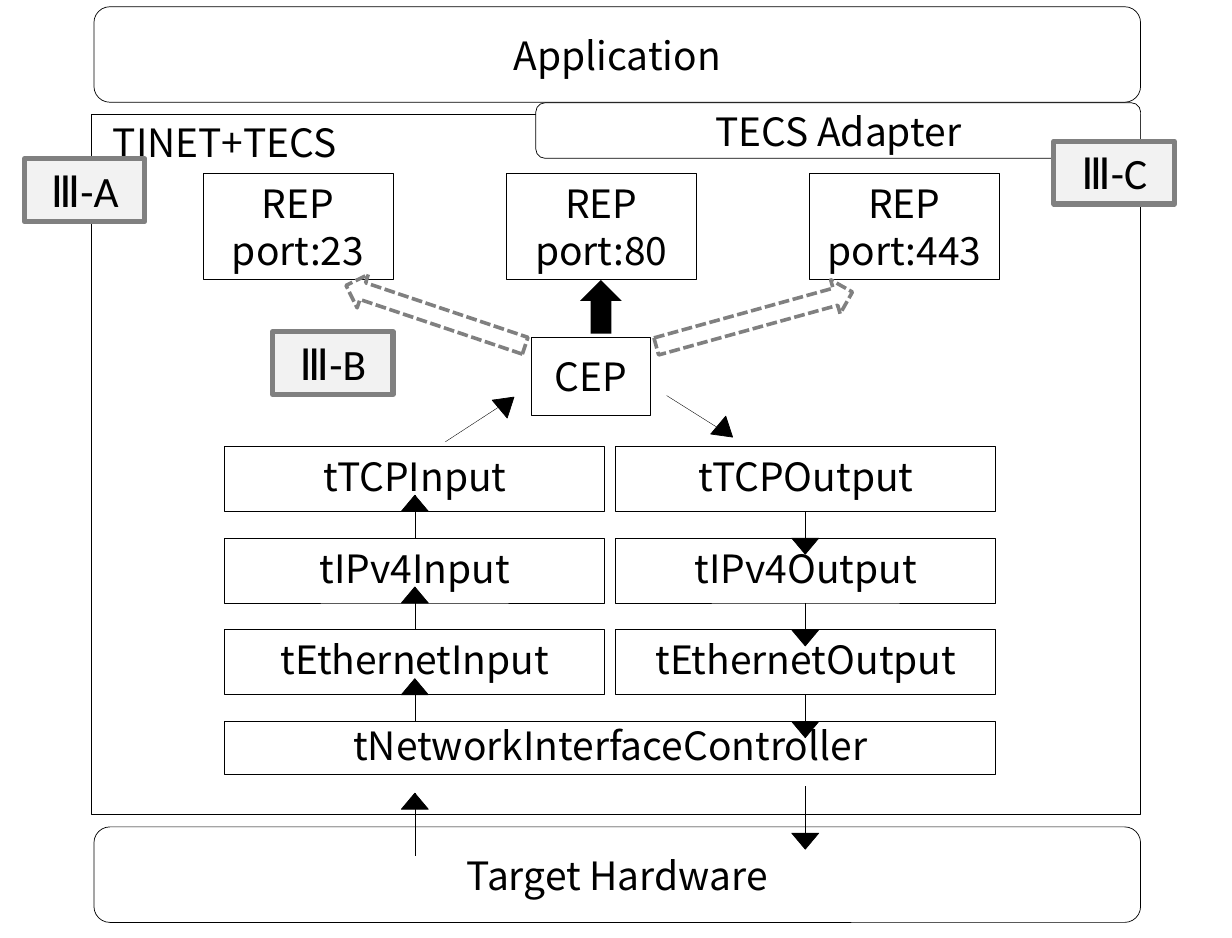
from dataclasses import dataclass
from math import cos, radians, sin

from lxml.etree import SubElement
from pptx import Presentation
from pptx.dml.color import RGBColor
from pptx.enum.dml import MSO_LINE
from pptx.enum.shapes import MSO_CONNECTOR, MSO_SHAPE as Kind
from pptx.enum.text import MSO_ANCHOR as Anchor, PP_ALIGN as Align
from pptx.oxml.ns import qn
from pptx.util import Inches, Pt


@dataclass(frozen=True)
class Theme:
    ink: str = "000000"
    paper: str = "FFFFFF"
    grey: str = "808080"
    pale: str = "F2F2F2"
    font: str = "Noto Sans CJK JP"
    tag_font: str = "Calibri"
    text_size: int = 54
    tag_size: int = 60
    border: float = 1
    dashed: float = 5
    tag_border: float = 7
    thread: float = 0.5


theme = Theme()

ports = ["port:23", "port:80", "port:443"]
layers = ["TCP", "IPv4", "Ethernet"]
directions = [("Input", 4.33), ("Output", 11.86)]
panels = [
    ("Application", 1.81, 0.13, 20.16, 1.84),
    ("TECS Adapter", 10.32, 1.98, 11.65, 1.07),
    ("Target Hardware", 1.81, 15.93, 20.16, 1.84),
]
tags = [("Ⅲ-A", 0.47, 3.06), ("Ⅲ-B", 5.25, 6.39), ("Ⅲ-C", 20.3, 2.72)]
candidate_arrows = [(6.57, 5.74, 3.64, 198.6), (12.57, 5.81, 3.92, 344.5)]

layer_top, layer_pitch, layer_width, layer_height = 8.6, 1.767, 7.32, 1.25
port_left, port_pitch = 3.91, 5.84
input_x, output_x = 7.99, 15.51
head_width, head_height = 0.52, 0.31
overlap = 0.31

deck = Presentation()
deck.slide_width, deck.slide_height = Inches(23.73), Inches(18.07)
page = deck.slides.add_slide(deck.slide_layouts[6])


def write(box, text, size=theme.text_size, font=theme.font,
          anchor=Anchor.MIDDLE, spacing=None):
    frame = box.text_frame
    frame.word_wrap = True
    frame.vertical_anchor = anchor
    for index, line in enumerate(text.split("\n")):
        para = frame.add_paragraph() if index else frame.paragraphs[0]
        para.alignment = Align.CENTER
        if spacing:
            para.line_spacing = spacing
        span = para.add_run()
        span.text = line
        span.font.size = Pt(size)
        span.font.name = font
        span.font.color.rgb = RGBColor.from_string(theme.ink)


def draw(kind, left, top, width, height, fill=theme.paper, line=theme.ink,
         weight=theme.border, turn=0, text=None, **text_format):
    box = page.shapes.add_shape(
        kind, Inches(left), Inches(top), Inches(width), Inches(height))
    box.shadow.inherit = False
    box.rotation = turn
    if fill:
        box.fill.solid()
        box.fill.fore_color.rgb = RGBColor.from_string(fill)
    else:
        box.fill.background()
    if line:
        box.line.color.rgb = RGBColor.from_string(line)
        box.line.width = Pt(weight)
    else:
        box.line.fill.background()
    if text:
        write(box, text, **text_format)
    return box


def flow(x1, y1, x2, y2, turn, width=head_width, height=head_height):
    thread = page.shapes.add_connector(
        MSO_CONNECTOR.STRAIGHT, Inches(x1), Inches(y1), Inches(x2), Inches(y2))
    thread.line.color.rgb = RGBColor.from_string(theme.ink)
    thread.line.width = Pt(theme.thread)
    SubElement(thread.element.spPr, qn("a:effectLst"))
    center_x = x2 - height / 2 * sin(radians(turn))
    center_y = y2 + height / 2 * cos(radians(turn))
    draw(Kind.ISOSCELES_TRIANGLE, center_x - width / 2, center_y - height / 2,
         width, height, fill=theme.ink, turn=turn)


draw(Kind.RECTANGLE, 10.24, 6.49, 2.28, 1.51, text="CEP")
for index, port in enumerate(ports):
    draw(Kind.RECTANGLE, port_left + index * port_pitch, 3.34, 3.66, 2.05,
         text=f"REP\n{port}")

for left, top, width, turn in candidate_arrows:
    arrow = draw(Kind.RIGHT_ARROW, left, top, width, 0.68, fill=None,
                 line=theme.grey, weight=theme.dashed, turn=turn)
    arrow.line.dash_style = MSO_LINE.SQUARE_DOT
draw(Kind.RIGHT_ARROW, 11.06, 5.51, 1.03, 0.8, fill=theme.ink, line=None, turn=270)

layer_tops = [layer_top + index * layer_pitch for index in range(len(layers))]
for layer, top in zip(layers, layer_tops):
    for direction, left in directions:
        draw(Kind.RECTANGLE, left, top, layer_width, layer_height,
             text=f"t{layer}{direction}", spacing=0.9)
controller = draw(Kind.RECTANGLE, 4.33, layer_top + len(layers) * layer_pitch, 14.85, 1.02,
                  text="tNetworkInterfaceController", anchor=Anchor.BOTTOM, spacing=0.9)
controller.text_frame.margin_bottom = Inches(0.11)

for top in layer_tops:
    bottom, below = top + layer_height, top + layer_pitch
    flow(input_x, below, input_x, bottom - overlap, 0)
    flow(output_x, bottom, output_x, below + overlap, 180)
flow(8.58, 8.51, 9.9, 7.65, 50, width=0.45, height=0.36)
flow(12.84, 7.62, 14.11, 8.42, 130, width=0.45, height=0.36)

draw(Kind.RECTANGLE, 1.76, 2.21, 20.21, 13.48, fill=None)
for name, left, top, width, height in panels:
    draw(Kind.ROUNDED_RECTANGLE, left, top, width, height, text=name)
title = page.shapes.add_textbox(Inches(1.81), Inches(1.93), Inches(5.04), Inches(1.59))
write(title, "TINET+TECS")

flow(output_x, 15.15, output_x, 16.36, 180)
flow(input_x, 16.49, input_x, 15.28, 0)

for name, left, top in tags:
    draw(Kind.RECTANGLE, left, top, 2.32, 1.21, fill=theme.pale, line=theme.grey,
         weight=theme.tag_border, text=name, size=theme.tag_size, font=theme.tag_font)

deck.save("out.pptx")
